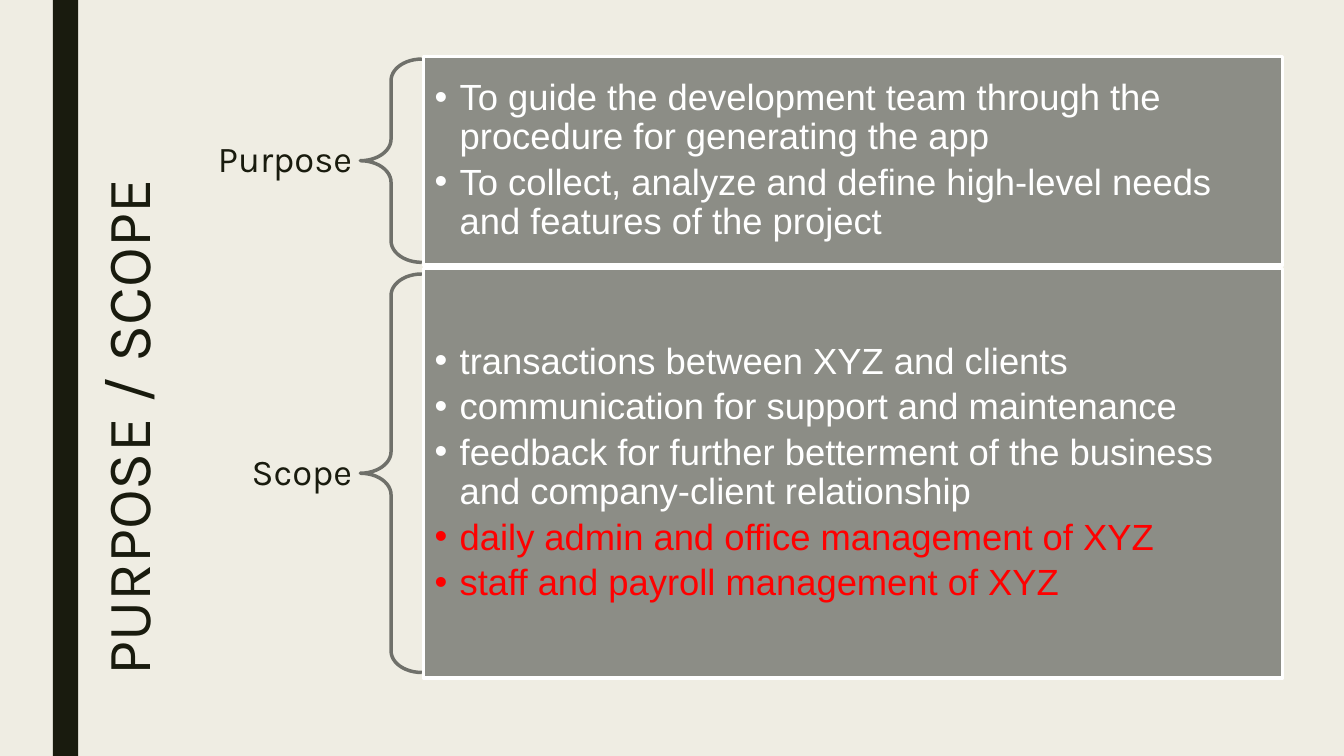
"""Build the purpose and scope slide with braces and bullet panels."""
from dataclasses import dataclass

from lxml.etree import SubElement
from pptx import Presentation
from pptx.dml.color import RGBColor
from pptx.enum.shapes import MSO_SHAPE
from pptx.enum.text import MSO_ANCHOR, MSO_AUTO_SIZE, PP_ALIGN
from pptx.oxml.ns import qn
from pptx.util import Cm, Pt

TITLE = "PURPOSE / SCOPE"
SECTIONS = [
    {
        "label": "Purpose",
        "height": 10.52,
        "items": [
            "To guide the development team through the procedure for generating the app",
            "To collect, analyze and define high-level needs and features of the project",
        ],
        "highlighted": [],
    },
    {
        "label": "Scope",
        "height": 20.62,
        "items": [
            "transactions between XYZ and clients",
            "communication for support and maintenance",
            "feedback for further betterment of the business and company-client relationship",
        ],
        "highlighted": [
            "daily admin and office management of XYZ",
            "staff and payroll management of XYZ",
        ],
    },
]


@dataclass(frozen=True)
class Theme:
    background: RGBColor = RGBColor(0xEF, 0xED, 0xE3)
    dark: RGBColor = RGBColor(0x19, 0x1B, 0x0E)
    panel: RGBColor = RGBColor(0x8C, 0x8D, 0x86)
    brace: RGBColor = RGBColor(0x6F, 0x70, 0x6A)
    white: RGBColor = RGBColor(0xFF, 0xFF, 0xFF)
    red: RGBColor = RGBColor(0xFF, 0x00, 0x00)
    heading_font: str = "Karla"
    body_font: str = "Arial"
    title_size: int = 88
    text_size: int = 52
    line_width: int = 5


THEME = Theme()
SLIDE_WIDTH, SLIDE_HEIGHT = 67.74, 38.1
PANEL_LEFT, PANEL_TOP, PANEL_WIDTH, PANEL_GAP = 21.34, 2.84, 43.31, 0.18
BRACE_LEFT, BRACE_WIDTH, BRACE_INSET = 18.16, 3.1, 0.013
LABEL_LEFT, LABEL_WIDTH, LABEL_HEIGHT = 10.26, 7.85, 3.23


def place(shape, left, top, width, height):
    shape.left, shape.top = Cm(left), Cm(top)
    shape.width, shape.height = Cm(width), Cm(height)


def prepare_frame(shape, inset, anchor):
    frame = shape.text_frame
    frame.word_wrap = True
    frame.auto_size = MSO_AUTO_SIZE.NONE
    frame.vertical_anchor = anchor
    frame.margin_left = frame.margin_right = Cm(inset)
    frame.margin_top = frame.margin_bottom = Cm(inset)
    return frame


def write(paragraph, text, font=THEME.heading_font, size=THEME.text_size,
          color=THEME.dark, align=PP_ALIGN.LEFT, before=0, spacing=0.9, bullet=None):
    run = paragraph.add_run()
    run.text = text
    run.font.name, run.font.size = font, Pt(size)
    run.font.color.rgb = color
    paragraph.alignment = align
    paragraph.line_spacing = spacing
    paragraph.space_before = Pt(before)
    if bullet:
        properties = paragraph._p.get_or_add_pPr()
        properties.set("marL", str(Cm(1.27)))
        properties.set("indent", str(-Cm(1.27)))
        SubElement(properties, qn("a:buChar")).set("char", bullet)


def add_panel(placeholder, section, top):
    place(placeholder, PANEL_LEFT, top, PANEL_WIDTH, section["height"])
    placeholder.fill.solid()
    placeholder.fill.fore_color.rgb = THEME.panel
    placeholder.line.color.rgb = THEME.white
    placeholder.line.width = Pt(THEME.line_width)
    frame = prepare_frame(placeholder, 0.56, MSO_ANCHOR.MIDDLE)
    items = [(text, THEME.white) for text in section["items"]]
    items += [(text, THEME.red) for text in section["highlighted"]]
    for index, (text, color) in enumerate(items):
        paragraph = frame.add_paragraph() if index else frame.paragraphs[0]
        write(paragraph, text, font=THEME.body_font, color=color, before=9, bullet="•")


def add_brace(slide, top, height):
    inset = BRACE_INSET * height
    brace = slide.shapes.add_shape(
        MSO_SHAPE.LEFT_BRACE, Cm(BRACE_LEFT), Cm(top + inset),
        Cm(BRACE_WIDTH), Cm(height - 2 * inset))
    brace.adjustments[0] = 0.35
    brace.shadow.inherit = False
    brace.fill.background()
    brace.line.color.rgb = THEME.brace
    brace.line.width = Pt(THEME.line_width)


def add_label(slide, text, middle):
    label = slide.shapes.add_textbox(
        Cm(LABEL_LEFT), Cm(middle - LABEL_HEIGHT / 2), Cm(LABEL_WIDTH), Cm(LABEL_HEIGHT))
    frame = prepare_frame(label, 0.36, MSO_ANCHOR.MIDDLE)
    write(frame.paragraphs[0], text, align=PP_ALIGN.RIGHT, before=21)


def add_side_bar(slide):
    bar = slide.shapes.add_shape(MSO_SHAPE.RECTANGLE, Cm(2.67), 0, Cm(1.27), Cm(SLIDE_HEIGHT))
    bar.shadow.inherit = False
    bar.fill.solid()
    bar.fill.fore_color.rgb = THEME.dark
    bar.line.fill.background()


def add_title(slide):
    title = slide.shapes.title
    place(title, -8.97, 16.28, 31.67, 4.39)
    title.rotation = 270
    frame = prepare_frame(title, 0.25, MSO_ANCHOR.TOP)
    write(frame.paragraphs[0], TITLE, size=THEME.title_size, spacing=0.89)


def main():
    presentation = Presentation()
    presentation.slide_width, presentation.slide_height = Cm(SLIDE_WIDTH), Cm(SLIDE_HEIGHT)
    slide = presentation.slides.add_slide(presentation.slide_layouts.get_by_name("Two Content"))
    slide.background.fill.solid()
    slide.background.fill.fore_color.rgb = THEME.background
    add_side_bar(slide)
    add_title(slide)
    top = PANEL_TOP
    for section, placeholder in zip(SECTIONS, list(slide.placeholders)[1:]):
        height = section["height"]
        add_label(slide, section["label"], top + height / 2)
        add_brace(slide, top, height)
        add_panel(placeholder, section, top)
        top += height + PANEL_GAP
    presentation.save("out.pptx")


if __name__ == "__main__":
    main()
